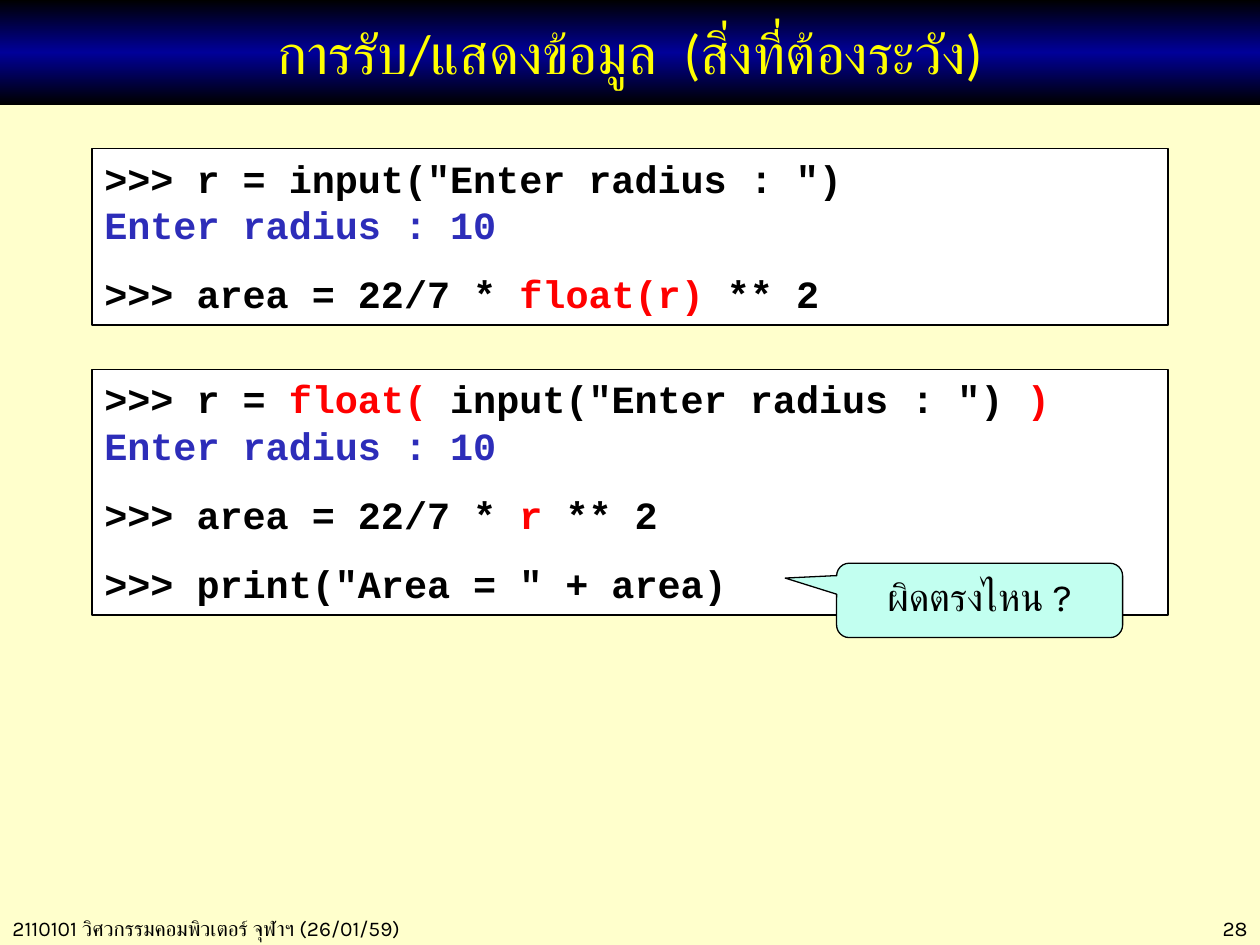
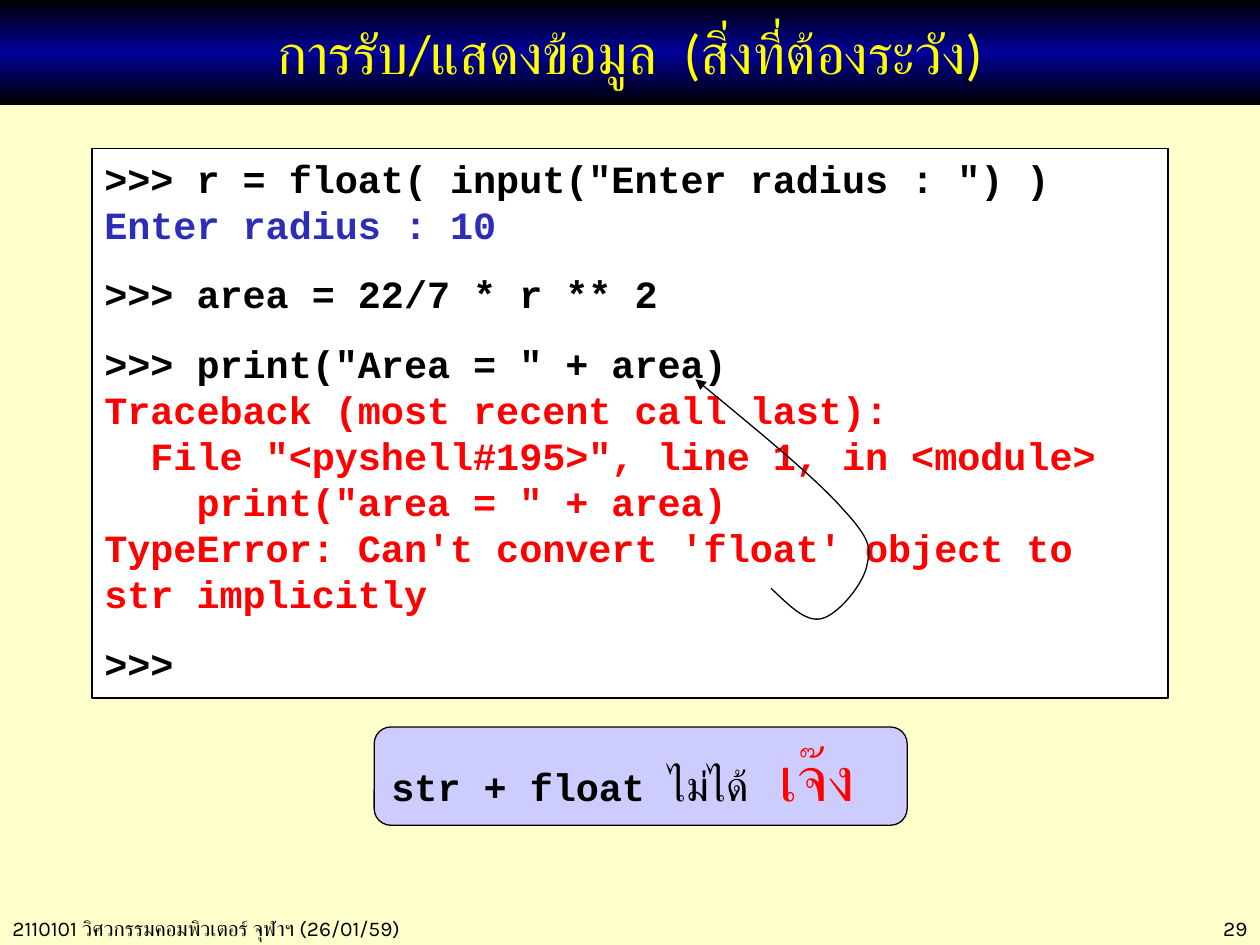
from copy import deepcopy

from lxml import etree
from pptx import Presentation
from pptx.dml.color import RGBColor
from pptx.enum.shapes import MSO_SHAPE
from pptx.enum.text import MSO_ANCHOR, MSO_AUTO_SIZE, PP_ALIGN
from pptx.oxml.ns import qn
from pptx.util import Inches, Pt

RECTANGLE = MSO_SHAPE.RECTANGLE
ROUNDED = MSO_SHAPE.ROUNDED_RECTANGLE
CALLOUT = MSO_SHAPE.ROUNDED_RECTANGULAR_CALLOUT
TOP, MIDDLE = MSO_ANCHOR.TOP, MSO_ANCHOR.MIDDLE
LEFT, CENTER, RIGHT = PP_ALIGN.LEFT, PP_ALIGN.CENTER, PP_ALIGN.RIGHT


class Theme:
    page, black, white = "FFFFCC", "000000", "FFFFFF"
    navy, yellow, blue, red = "000099", "FFFF00", "2D2DB9", "FF0000"
    mint, lilac = "C2FFF0", "CCCCFF"
    title_font, body_font, code_font = "Calibri", "Karla", "Courier New"
    title_size, code_size, footer_size = 32, 22, 12
    remark_size, shout_size = 24, 36
    outline = Pt(0.75)


prs = Presentation()
prs.slide_width, prs.slide_height = Inches(10), Inches(7.5)
# Positions are counted on a grid of 100 columns by 100 rows.
COL, ROW = prs.slide_width / 100, prs.slide_height / 100
CODE_LEFT, CODE_WIDTH, CODE_TOP = 7.3, 85.4, 15.73


def write(paragraph, text, font=Theme.body_font, size=Theme.code_size,
          color=Theme.black, bold=False):
    run = paragraph.add_run()
    run.text = text
    run.font.name, run.font.size, run.font.bold = font, Pt(size), bold
    run.font.color.rgb = RGBColor.from_string(color)
    # Thai letters take the complex-script font.
    etree.SubElement(run.font._element, qn("a:cs"), typeface=Theme.body_font)


def add_panel(slide, kind, left, top, width, height, fill=None, anchor=TOP, align=LEFT):
    """Add a shape, outlined only when filled, ready to take text."""
    panel = slide.shapes.add_shape(kind, round(left * COL), round(top * ROW),
                                   round(width * COL), round(height * ROW))
    panel.shadow.inherit = False
    if fill:
        panel.fill.solid()
        panel.fill.fore_color.rgb = RGBColor.from_string(fill)
        panel.line.color.rgb = RGBColor.from_string(Theme.black)
        panel.line.width = Theme.outline
    else:
        panel.fill.background()
        panel.line.fill.background()
    frame = panel.text_frame
    frame.word_wrap, frame.vertical_anchor = True, anchor
    frame.paragraphs[0].alignment = align
    return panel


# Each listing: its height in rows, then lines made of (text, colour) runs.
ECHO = [("Enter radius : 10", Theme.blue)]
PRINT = [('>>> print("Area = " + area)', Theme.black)]
TRACEBACK = [
    "Traceback (most recent call last):",
    '  File "<pyshell#195>", line 1, in <module>',
    '    print("area = " + area)',
    "TypeError: Can't convert 'float' object to str implicitly",
]
convert_later = (CODE_TOP, 18.67, [
    [('>>> r = input("Enter radius : ")', Theme.black)],
    ECHO,
    [(">>> area = 22/7 * ", Theme.black), ("float(r)", Theme.red), (" ** 2", Theme.black)],
])
convert_first = (39.07, 26, [
    [(">>> r = ", Theme.black), ("float(", Theme.red),
     (' input("Enter radius : ") ', Theme.black), (")", Theme.red)],
    ECHO,
    [(">>> area = 22/7 * ", Theme.black), ("r ", Theme.red), ("** 2", Theme.black)],
    PRINT,
])
failed_session = (CODE_TOP, 58.13, [
    [('>>> r = float( input("Enter radius : ") )', Theme.black)],
    ECHO,
    [(">>> area = 22/7 * r ** 2", Theme.black)],
    PRINT,
    *[[(line, Theme.red)] for line in TRACEBACK],
    [(">>>", Theme.black)],
])

background = prs.slide_master.background.fill
background.solid()
background.fore_color.rgb = RGBColor.from_string(Theme.page)

slides = []
for number, listings in [(28, [convert_later, convert_first]), (29, [failed_session])]:
    slide = prs.slides.add_slide(prs.slide_layouts[5])
    slides.append(slide)

    for left, width, align, text in [
        (0, 39, LEFT, "2110101 วิศวกรรมคอมพิวเตอร์ จุฬาฯ (26/01/59)"),
        (86.2, 13.8, RIGHT, str(number)),
    ]:
        footer = add_panel(slide, RECTANGLE, left, 96.27, width, 4, align=align)
        write(footer.text_frame.paragraphs[0], text, size=Theme.footer_size)

    title = slide.shapes.title
    title.left, title.top = 0, 0
    title.width, title.height = prs.slide_width, round(11.07 * ROW)
    title.fill.gradient()
    title.fill.gradient_angle = 90
    stops = title.fill.gradient_stops
    first = stops[0]._gs
    first.addnext(deepcopy(first))
    for stop, position, color in zip(title.fill.gradient_stops, (0, 0.5, 1),
                                     (Theme.black, Theme.navy, Theme.black)):
        stop.position = position
        stop.color.rgb = RGBColor.from_string(color)
    title.text_frame.auto_size = MSO_AUTO_SIZE.NONE
    title.text_frame.vertical_anchor = MIDDLE
    heading = title.text_frame.paragraphs[0]
    heading.alignment = CENTER
    write(heading, "การรับ/แสดงข้อมูล  (สิ่งที่ต้องระวัง)", font=Theme.title_font,
          size=Theme.title_size, color=Theme.yellow)

    for top, height, lines in listings:
        code = add_panel(slide, RECTANGLE, CODE_LEFT, top, CODE_WIDTH, height, Theme.white)
        for index, runs in enumerate(lines):
            frame = code.text_frame
            line = frame.add_paragraph() if index else frame.paragraphs[0]
            line.alignment = LEFT
            # Every prompt after the first stands apart from the lines above it.
            line.line_spacing = 1.5 if index and runs[0][0].startswith(">>>") else 1.0
            for text, color in runs:
                write(line, text, font=Theme.code_font, color=color, bold=True)

question_slide, answer_slide = slides

question = add_panel(question_slide, CALLOUT, 66.4, 59.6, 22.7, 7.87, Theme.mint, align=CENTER)
for index, value in enumerate((-0.68, -0.3, 0.17)):
    question.adjustments[index] = value
write(question.text_frame.paragraphs[0], "ผิดตรงไหน ?")

# Arrow from the error message back to the faulty call: a start point,
# then three points for each Bézier curve.
arrow_points = [
    (61.2, 62.27),
    (62.6, 64), (63.9, 65.87), (65.2, 65.47),
    (66.5, 65.07), (68.5, 61.87), (68.8, 59.87),
    (69.1, 58), (69.2, 57.2), (66.9, 53.87),
    (64.7, 50.53), (59.9, 45.33), (55.2, 40.13),
]
start, *bends = [(round(x * COL), round(y * ROW)) for x, y in arrow_points]
builder = answer_slide.shapes.build_freeform(*start)
builder.add_line_segments(bends, close=False)
arrow = builder.convert_to_shape()
arrow.shadow.inherit = False
arrow.fill.background()
arrow.line.color.rgb = RGBColor.from_string(Theme.black)
arrow.line.width = Theme.outline
etree.SubElement(arrow.line._get_or_add_ln(), qn("a:tailEnd"), type="triangle")
segments = list(arrow._element.iter(qn("a:lnTo")))
outline = segments[0].getparent()
for index in range(0, len(segments), 3):
    curve = etree.SubElement(outline, qn("a:cubicBezTo"))
    for segment in segments[index:index + 3]:
        curve.append(segment[0])
        outline.remove(segment)

verdict = add_panel(answer_slide, ROUNDED, 29.7, 76.93, 42.3, 10.4, Theme.lilac, anchor=MIDDLE)
verdict.adjustments[0] = 0.17
sentence = verdict.text_frame.paragraphs[0]
tabs = etree.SubElement(sentence._p.get_or_add_pPr(), qn("a:tabLst"))
etree.SubElement(tabs, qn("a:tab"), pos=str(round(30.8 * COL)), algn="l")
write(sentence, "str + float ", font=Theme.code_font, bold=True)
write(sentence, "ไม่ได้\t", size=Theme.remark_size)
write(sentence, "เจ๊ง", size=Theme.shout_size, color=Theme.red)

prs.save("out.pptx")
